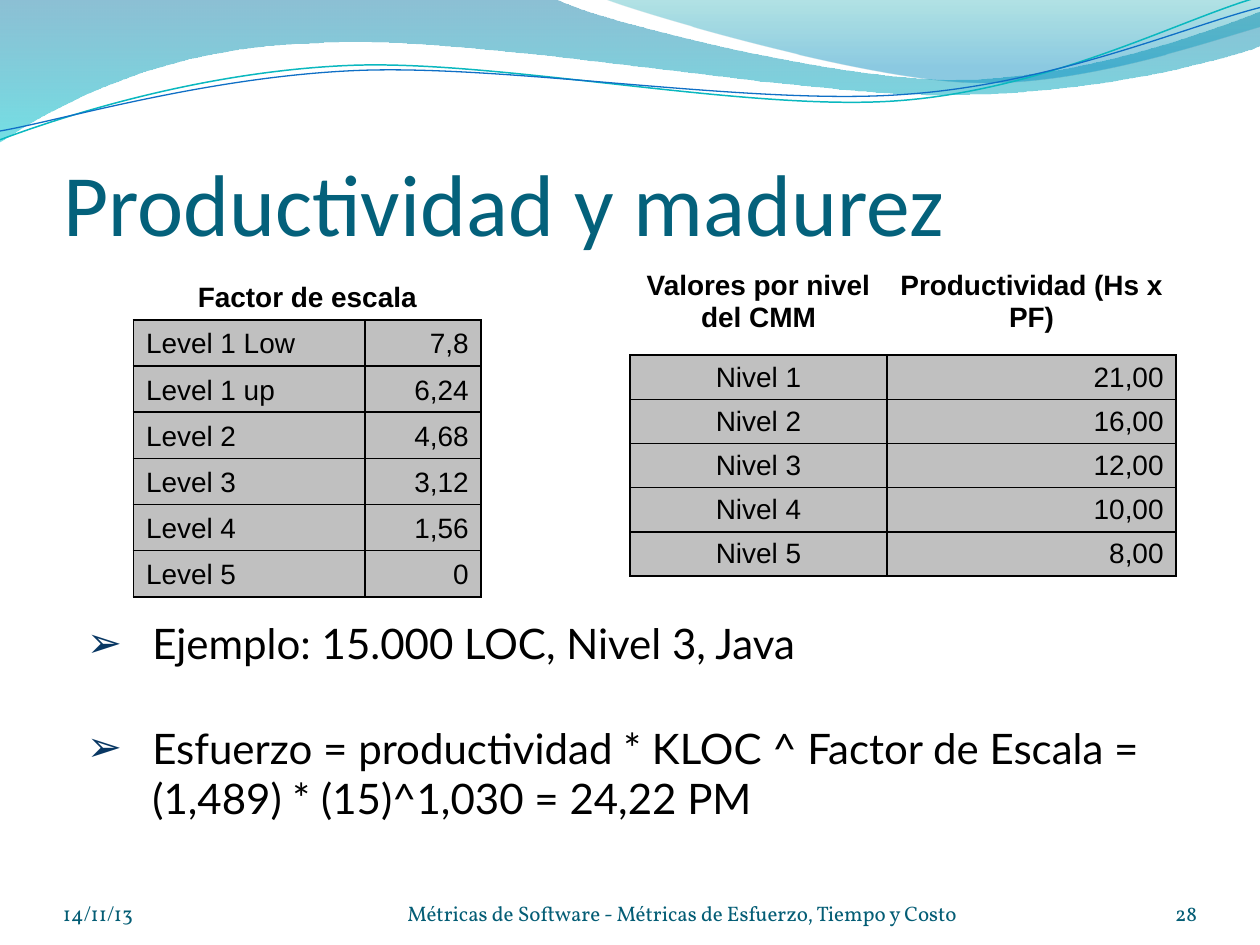
from lxml.etree import SubElement
from pptx import Presentation
from pptx.dml.color import RGBColor
from pptx.enum.text import MSO_ANCHOR, MSO_AUTO_SIZE, PP_ALIGN
from pptx.oxml.ns import qn
from pptx.util import Cm, Pt

COLORS = {
    "title": "04617B", "text": "000000", "footer": "045D75", "bullet": "083763",
    "cell": "C0C0C0", "border": "000000", "teal_line": "0AB8BF", "blue_line": "0F6FC6",
}
LEFT, CENTER, RIGHT = PP_ALIGN.LEFT, PP_ALIGN.CENTER, PP_ALIGN.RIGHT

TITLE = "Productividad y madurez"
BULLETS = [
    "Ejemplo: 15.000 LOC, Nivel 3, Java",
    "Esfuerzo = productividad * KLOC ^ Factor de Escala = (1,489) * (15)^1,030 = 24,22 PM",
]
# Sizes in centimetres
TABLES = [
    {"at": (2.69, 5.51), "columns": (4.67, 2.34), "header_height": 0.94, "row_height": 0.93,
     "header": ["Factor de escala"], "header_anchor": MSO_ANCHOR.BOTTOM, "align": (LEFT, RIGHT),
     "rows": [("Level 1 Low", "7,8"), ("Level 1 up", "6,24"), ("Level 2", "4,68"),
              ("Level 3", "3,12"), ("Level 4", "1,56"), ("Level 5", "0")]},
    {"at": (12.7, 5.33), "columns": (5.18, 5.83), "header_height": 1.83, "row_height": 0.89,
     "header": ["Valores por nivel del CMM", "Productividad (Hs x PF)"],
     "header_anchor": MSO_ANCHOR.TOP, "align": (CENTER, RIGHT),
     "rows": [("Nivel 1", "21,00"), ("Nivel 2", "16,00"), ("Nivel 3", "12,00"),
              ("Nivel 4", "10,00"), ("Nivel 5", "8,00")]},
]
FOOTERS = [
    ("14/11/13", 1.27, 5.92, LEFT),
    ("Métricas de Software - Métricas de Esfuerzo, Tiempo y Costo", 7.41, 12.7, CENTER),
    ("28", 22.02, 2.11, RIGHT),
]
# Wave outlines on a 10 by 7.5 grid: a pair is a corner, six numbers are a Bezier curve
GRID = 2.54
BANDS = [
    ([(0, 0), (4.4, -0.01), (4.76, 0.17, 6.64, 0.63, 7.58, 0.63),
      (8.53, 0.63, 9.58, 0.26, 10, 0.09), (10.01, 0.36),
      (9.83, 0.44, 8.7, 0.76, 7.46, 0.75), (6.22, 0.75, 3.82, 0.28, 2.57, 0.34),
      (1.29, 0.36, 0.46, 0.83, -0.01, 1.13)],
     [(0, "0074A1", 45), (1, "00C6CF", 55)]),
    ([(4.79, -0.01), (5.09, 0.11, 6.82, 0.62, 7.69, 0.65),
      (8.56, 0.69, 9.61, 0.32, 10, 0.21), (10, 0)],
     [(0, "00A1A9", 30), (0.8, "008BBF", 45)]),
]
WAVES = [
    ([(0, 1.11), (0.48, 0.93, 1.58, 0.57, 2.77, 0.52),
      (3.95, 0.47, 5.93, 0.89, 7.13, 0.8), (8.33, 0.71, 9.38, 0.15, 9.98, -0.02)],
     "teal_line", 0.85),
    ([(0, 1.04), (0.47, 0.96, 1.64, 0.61, 2.83, 0.56),
      (4.03, 0.51, 5.97, 0.84, 7.17, 0.75), (8.36, 0.67, 9.41, 0.21, 10, 0.06)],
     "blue_line", 0.75),
]


def color(name):
    return RGBColor.from_string(COLORS[name])


def add_outline(page, outline, closed):
    """Join the corners, then bend the curved segments."""
    parts = [[Cm(GRID * number) for number in part] for part in outline]
    builder = page.shapes.build_freeform(*parts[0])
    builder.add_line_segments([part[-2:] for part in parts[1:]], close=closed)
    shape = builder.convert_to_shape()
    shape.shadow.inherit = False
    segments = list(shape._element.iter(qn("a:lnTo")))
    for segment, part in zip(segments, parts[1:]):
        if len(part) == 6:
            curve = segment.makeelement(qn("a:cubicBezTo"), {})
            for x, y in zip(part[::2], part[1::2]):
                SubElement(curve, qn("a:pt"), x=str(x - shape.left), y=str(y - shape.top))
            segment.getparent().replace(segment, curve)
    return shape


def add_band(page, outline, stops):
    band = add_outline(page, outline, True)
    band.line.fill.background()
    band.fill.gradient()
    band.fill.gradient_angle = 270
    for stop, (position, value, _) in zip(band.fill.gradient_stops, stops):
        stop.position = position
        stop.color.rgb = RGBColor.from_string(value)
    gradient = band._element.spPr.find(qn("a:gradFill"))
    for element, (_, _, opacity) in zip(gradient.iter(qn("a:srgbClr")), stops):
        SubElement(element, qn("a:alpha"), val=str(opacity * 1000))


def add_wave(page, outline, name, width):
    wave = add_outline(page, outline, False)
    wave.fill.background()
    wave.line.color.rgb = color(name)
    wave.line.width = Pt(width)


def set_font(paragraph, name, size, color_name, bold=False):
    font = paragraph.font
    font.name, font.size, font.bold = name, Pt(size), bold
    font.color.rgb = color(color_name)


def place(box, left, top, width, height):
    box.left, box.top, box.width, box.height = Cm(left), Cm(top), Cm(width), Cm(height)


def set_frame(frame, anchor, margins):
    frame.word_wrap = True
    frame.auto_size = MSO_AUTO_SIZE.NONE
    frame.vertical_anchor = anchor
    (frame.margin_left, frame.margin_top,
     frame.margin_right, frame.margin_bottom) = map(Cm, margins)


def add_bullet(paragraph):
    properties = paragraph._p.get_or_add_pPr()
    properties.set("marL", str(Cm(1.32)))
    properties.set("indent", str(Cm(-1.32)))
    tint = SubElement(properties, qn("a:buClr"))
    SubElement(tint, qn("a:srgbClr"), val=COLORS["bullet"])
    SubElement(properties, qn("a:buChar"), char="➢")


def set_borders(cell, sides):
    properties = cell._tc.get_or_add_tcPr()
    for index, side in enumerate(("L", "R", "T", "B")):
        line = properties.makeelement(qn(f"a:ln{side}"), {"w": str(Pt(1))})
        if side in sides:
            fill = SubElement(line, qn("a:solidFill"))
            SubElement(fill, qn("a:srgbClr"), val=COLORS["border"])
        else:
            SubElement(line, qn("a:noFill"))
        properties.insert(index, line)


def fill_cell(cell, text, align, anchor, header):
    cell.text = text
    cell.vertical_anchor = anchor
    paragraph = cell.text_frame.paragraphs[0]
    paragraph.alignment = align
    set_font(paragraph, "Arial", 16, "text", header)
    if header:
        cell.fill.background()
    else:
        cell.fill.solid()
        cell.fill.fore_color.rgb = color("cell")
    set_borders(cell, "B" if header else "LRTB")


def add_data_table(page, data):
    rows, columns = data["rows"], data["columns"]
    heights = [data["header_height"]] + [data["row_height"]] * len(rows)
    table = page.shapes.add_table(len(heights), len(columns), *map(
        Cm, (*data["at"], sum(columns), sum(heights)))).table
    table.first_row = table.horz_banding = False
    for column, width in zip(table.columns, columns):
        column.width = Cm(width)
    for row, height in zip(table.rows, heights):
        row.height = Cm(height)
    # A short header spans the whole table
    header = data["header"] + [""] * (len(columns) - len(data["header"]))
    for index, text in enumerate(header):
        fill_cell(table.cell(0, index), text, CENTER, data["header_anchor"], True)
    if len(data["header"]) == 1:
        table.cell(0, 0).merge(table.cell(0, len(columns) - 1))
    for number, values in enumerate(rows, 1):
        for index, (text, align) in enumerate(zip(values, data["align"])):
            fill_cell(table.cell(number, index), text, align, MSO_ANCHOR.BOTTOM, False)


deck = Presentation()
deck.slide_width, deck.slide_height = Cm(25.4), Cm(19.05)
page = deck.slides.add_slide(deck.slide_layouts[1])

# Wave decoration
for band in BANDS:
    add_band(page, *band)
for wave in WAVES:
    add_wave(page, *wave)

# Title
title = page.shapes.title
place(title, 1.27, 1.94, 22.86, 3.18)
set_frame(title.text_frame, MSO_ANCHOR.BOTTOM, (0, 0.13, 0, 0))
title.text_frame.text = TITLE
title.text_frame.paragraphs[0].alignment = LEFT
set_font(title.text_frame.paragraphs[0], "Calibri", 50, "title")

# Tables
for data in TABLES:
    add_data_table(page, data)

# Worked example
body = page.placeholders[1]
place(body, 1.5, 12.32, 22.43, 5.21)
set_frame(body.text_frame, MSO_ANCHOR.TOP, (0.25, 0.13, 0.25, 0.13))
body.text_frame.text = "\n".join(BULLETS)
for index, paragraph in enumerate(body.text_frame.paragraphs):
    add_bullet(paragraph)
    paragraph.space_before = Pt(31 if index else 0)
    set_font(paragraph, "Lato", 24, "text")

# Footer
for text, left, width, align in FOOTERS:
    box = page.shapes.add_textbox(Cm(left), Cm(17.65), Cm(width), Cm(1.02))
    set_frame(box.text_frame, MSO_ANCHOR.BOTTOM, (0, 0, 0, 0))
    box.text_frame.text = text
    box.text_frame.paragraphs[0].alignment = align
    set_font(box.text_frame.paragraphs[0], "Vollkorn", 12, "footer")

deck.save("out.pptx")
